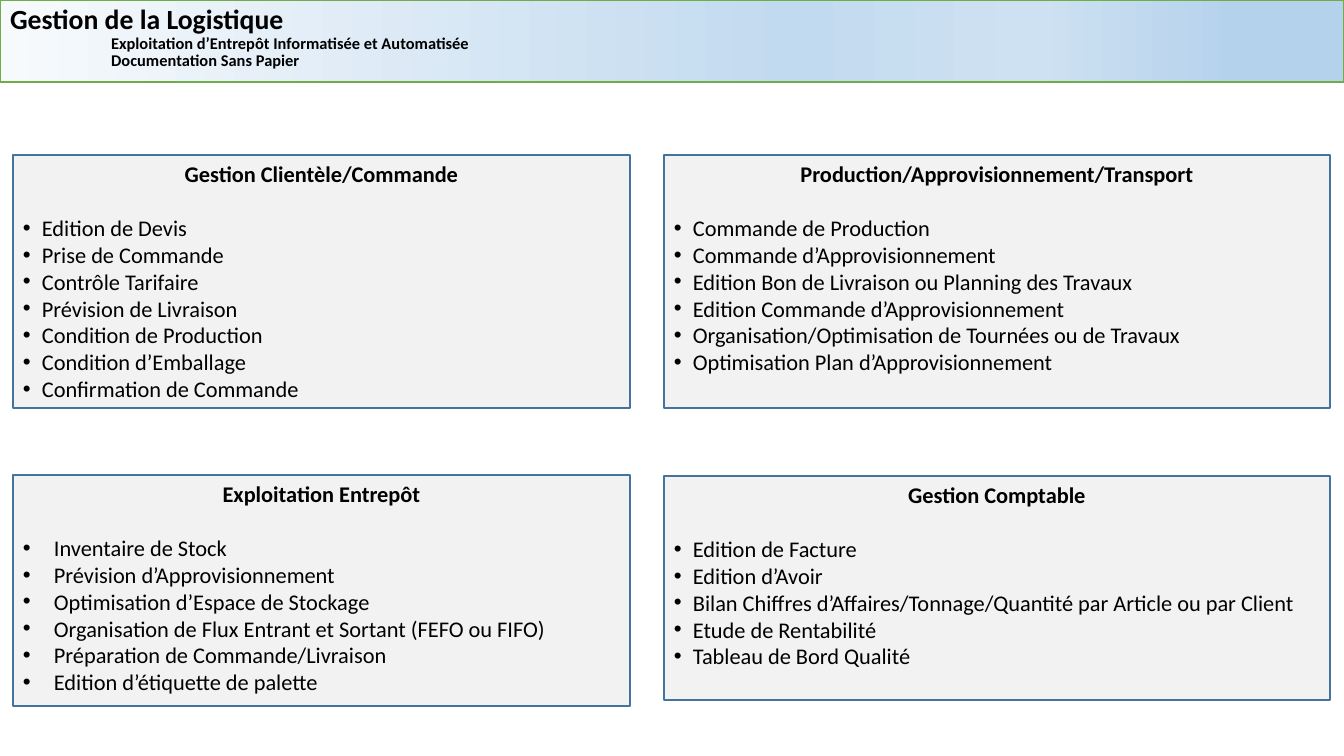
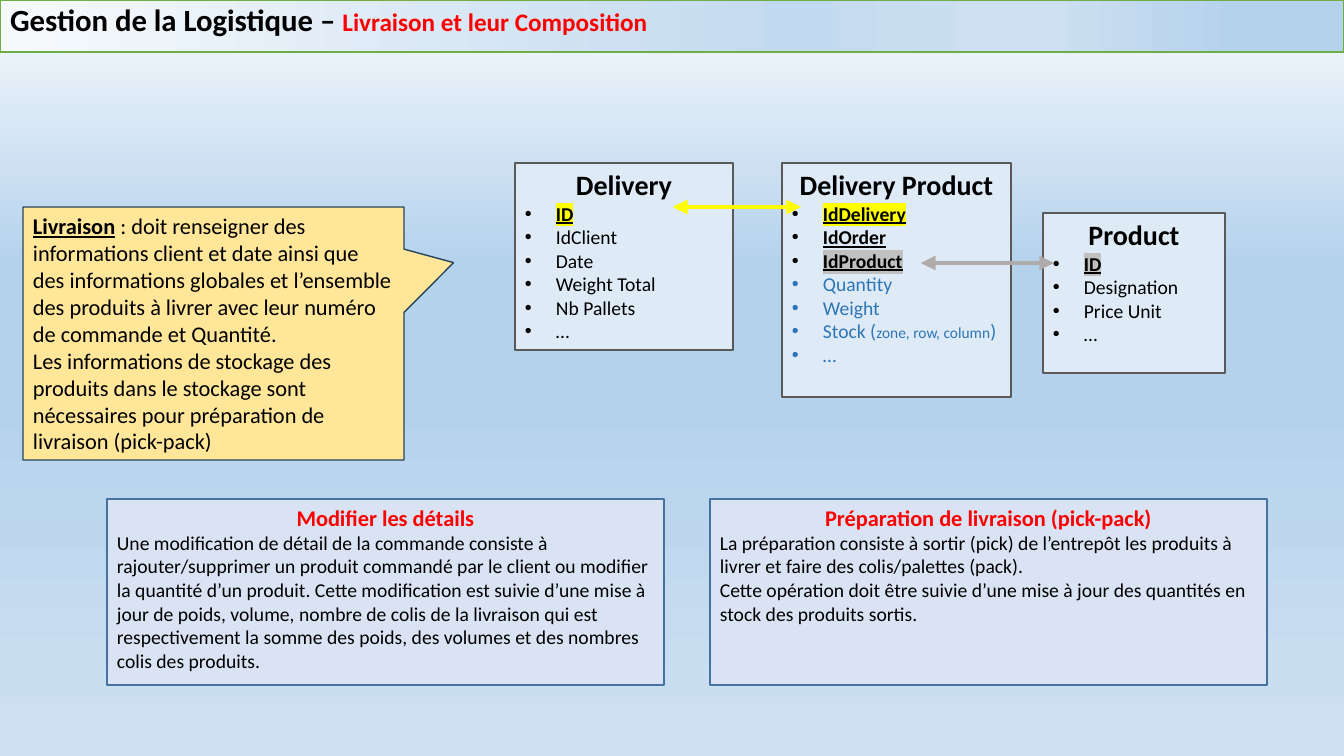
import pptx
import pptx.dml.color
import pptx.enum.dml
import pptx.enum.shapes
import pptx.enum.text
import pptx.oxml
import pptx.oxml.ns
import pptx.util
from dataclasses import dataclass, field
from lxml import etree

SLIDE_WIDTH, SLIDE_HEIGHT = 1344, 756
EMU_PER_PX = 914400 / 100.8
SHAPES = pptx.enum.shapes.MSO_SHAPE
ALIGN = pptx.enum.text.PP_ALIGN
ANCHOR = pptx.enum.text.MSO_ANCHOR
qn = pptx.oxml.ns.qn


@dataclass(frozen=True)
class Style:
    size: float
    bold: bool = False
    color: str = "000000"
    underline: bool = False
    highlight: str = ""


@dataclass(frozen=True)
class Theme:
    font: str = "Calibri"
    band_line: str = "70AD47"
    band_stops: tuple = ((0, "F7FAFD"), (59, "C2DAEF"), (77, "CEE1F2"), (92, "B5D2EC"))
    page_stops: tuple = ((0, "F7FAFD"), (35, "B5D2EC"), (53, "B5D2EC"), (100, "CEE1F2"))
    # Each box look: fill, line colour, line width in points
    module: tuple = ("F2F2F2", "43739E", 1)
    entity: tuple = ("DEEBF7", "595959", 1.75)
    callout: tuple = ("FFE699", "28445D", 1)
    detail: tuple = ("DAE3F3", "43739E", 1)
    arrow_width: float = 3.5
    module_heading_gap: float = 19.5
    styles: dict = field(default_factory=lambda: {
        "title": Style(19.8, True),
        "subtitle": Style(11.7, True),
        "large title": Style(22, True),
        "title topic": Style(18, True, "FF0000"),
        "heading": Style(16, True),
        "body": Style(16),
        "term": Style(16, True, underline=True),
        "entity": Style(20, True),
        "field": Style(14),
        "key": Style(14, True, underline=True),
        "delivery key": Style(14, True, underline=True, highlight="FFFF00"),
        "product key": Style(14, True, underline=True, highlight="C0C0C0"),
        "computed": Style(14, color="2E75B6"),
        "computed note": Style(11, color="2E75B6"),
        "detail heading": Style(16, True, "FF0000"),
    })


THEME = Theme()

# Boxes are (left, top, width, height) in px
MODULES = [
    ("Exploitation Entrepôt", (13, 475, 617, 231), 31, [
        "Inventaire de Stock",
        "Prévision d’Approvisionnement",
        "Optimisation d’Espace de Stockage",
        "Organisation de Flux Entrant et Sortant (FEFO ou FIFO)",
        "Préparation de Commande/Livraison",
        "Edition d’étiquette de palette"]),
    ("Gestion Clientèle/Commande", (13, 155, 617, 253), 19, [
        "Edition de Devis",
        "Prise de Commande",
        "Contrôle Tarifaire",
        "Prévision de Livraison",
        "Condition de Production",
        "Condition d’Emballage",
        "Confirmation de Commande"]),
    ("Production/Approvisionnement/Transport", (664, 155, 666, 253), 19, [
        "Commande de Production",
        "Commande d’Approvisionnement",
        "Edition Bon de Livraison ou Planning des Travaux",
        "Edition Commande d’Approvisionnement",
        "Organisation/Optimisation de Tournées ou de Travaux",
        "Optimisation Plan d’Approvisionnement"]),
    ("Gestion Comptable", (664, 476, 666, 224), 19, [
        "Edition de Facture",
        "Edition d’Avoir",
        "Bilan Chiffres d’Affaires/Tonnage/Quantité par Article ou par Client",
        "Etude de Rentabilité",
        "Tableau de Bord Qualité"]),
]

ENTITY_INDENT = 31
ENTITIES = [
    ("Delivery Product", (782, 163, 229, 234), [
        [("IdDelivery", "delivery key")],
        [("IdOrder", "key")],
        [("IdProduct", "product key")],
        [("Quantity", "computed")],
        [("Weight", "computed")],
        [("Stock (", "computed"), ("zone, row, column", "computed note"), (")", "computed")],
        [("…", "computed")]]),
    ("Delivery", (515, 163, 218, 187), [
        [("ID", "delivery key")],
        [("IdClient", "field")],
        [("Date", "field")],
        [("Weight Total", "field")],
        [("Nb Pallets", "field")],
        [("…", "field")]]),
    ("Product", (1043, 213, 182, 160), [
        [("ID", "product key")],
        [("Designation", "field")],
        [("Price Unit", "field")],
        [("…", "field")]]),
]

# Relations: start x, end x, y, colour
RELATIONS = [(673, 801, 207, "FFFF00"), (921, 1054, 263, "AFABAB")]

CALLOUT_BOX = (23, 207, 381, 253)
CALLOUT_TIP = (0.63, -0.28)
CALLOUT = [
    [("Livraison", "term"),
     (" : doit renseigner des informations client et date ainsi que des informations "
      "globales et l’ensemble des produits à livrer avec leur numéro de commande et "
      "Quantité.", "body")],
    [("Les informations de stockage des produits dans le stockage sont nécessaires pour "
      "préparation de livraison (pick-pack)", "body")],
]

DETAIL_BOX = (107, 499, 557, 186)
DETAIL_GAP = 46
DETAILS = [
    ("Modifier les détails", [
        "Une modification de détail de la commande consiste à rajouter/supprimer un produit "
        "commandé par le client ou modifier la quantité d’un produit. Cette modification est "
        "suivie d’une mise à jour de poids, volume, nombre de colis de la livraison qui est "
        "respectivement la somme des poids, des volumes et des nombres colis des produits."]),
    ("Préparation de livraison (pick-pack)", [
        "La préparation consiste à sortir (pick) de l’entrepôt les produits à livrer et faire "
        "des colis/palettes (pack).",
        "Cette opération doit être suivie d’une mise à jour des quantités en stock des "
        "produits sortis."]),
]


def px(length):
    return pptx.util.Emu(round(length * EMU_PER_PX))


def rgb(color):
    return pptx.dml.color.RGBColor.from_string(color)


def set_gradient(owner, fill, stops, angle):
    """Fill a shape or page background; the angle runs counter-clockwise."""
    fill.gradient()
    fill.gradient_angle = angle
    stop_list = owner.element.find(".//" + qn("a:gsLst"))
    for stop in list(stop_list):
        stop_list.remove(stop)
    for percent, color in stops:
        stop = etree.SubElement(stop_list, qn("a:gs"), pos=str(percent * 1000))
        etree.SubElement(stop, qn("a:srgbClr"), val=color)


def set_line(shape, color, width):
    shape.line.color.rgb = rgb(color)
    shape.line.width = pptx.util.Pt(width)


def add_run(para, text, style_name):
    style = THEME.styles[style_name]
    span = para.add_run()
    span.text = text
    font = span.font
    font.name = THEME.font
    font.size = pptx.util.Pt(style.size)
    font.bold = style.bold
    font.underline = style.underline
    font.color.rgb = rgb(style.color)
    if style.highlight:
        mark = etree.Element(qn("a:highlight"))
        etree.SubElement(mark, qn("a:srgbClr"), val=style.highlight)
        font_props = para.runs[-1].font
        font_props.name = THEME.font
        span._r.rPr.find(qn("a:latin")).addprevious(mark)


def add_paragraph(frame, runs, align=ALIGN.LEFT, indent=0, bullet=False):
    """Fill the empty first paragraph, or append one."""
    para = frame.paragraphs[0]
    if para.runs:
        para = frame.add_paragraph()
    para.alignment = align
    if indent:
        props = para._p.get_or_add_pPr()
        props.set("marL", str(px(indent)))
        if bullet:
            props.set("indent", str(-px(indent)))
            etree.SubElement(props, qn("a:buFont"), typeface="Arial")
            etree.SubElement(props, qn("a:buChar"), char="•")
    for text, style_name in runs:
        add_run(para, text, style_name)
    return para


def add_box(page, bounds, look, preset=SHAPES.RECTANGLE, anchor=ANCHOR.TOP):
    box = page.shapes.add_shape(preset, *map(px, bounds))
    fill, line, width = look
    box.shadow.inherit = False
    box.fill.solid()
    box.fill.fore_color.rgb = rgb(fill)
    set_line(box, line, width)
    box.text_frame.word_wrap = True
    box.text_frame.vertical_anchor = anchor
    return box


def add_page(deck, band_height, title_lines):
    """Add a page with its title band; title_lines holds (runs, indent) pairs."""
    page = deck.slides.add_slide(deck.slide_layouts[5])
    band = page.shapes.title
    band.left, band.top, band.width, band.height = map(px, (0, 0, SLIDE_WIDTH, band_height))
    set_gradient(band, band.fill, THEME.band_stops, 0)
    set_line(band, THEME.band_line, 1)
    frame = band.text_frame
    frame.word_wrap = True
    frame.auto_size = pptx.enum.text.MSO_AUTO_SIZE.NONE
    frame.vertical_anchor = ANCHOR.TOP
    for runs, indent in title_lines:
        add_paragraph(frame, runs, indent=indent).line_spacing = 0.9
    return page


def add_relation(page, start, end, y, color):
    arrow = page.shapes.add_connector(
        pptx.enum.shapes.MSO_CONNECTOR.STRAIGHT, px(start), px(y), px(end), px(y))
    set_line(arrow, color, THEME.arrow_width)
    line = arrow.line._get_or_add_ln()
    for tag in ("a:headEnd", "a:tailEnd"):
        etree.SubElement(line, qn(tag), type="triangle")
    etree.SubElement(arrow.element.spPr, qn("a:effectLst"))


def build_overview(deck):
    page = add_page(deck, 82, [
        ([("Gestion de la Logistique", "title")], 0),
        ([("Exploitation d’Entrepôt Informatisée et Automatisée", "subtitle")], 101),
        ([("Documentation Sans Papier", "subtitle")], 101)])
    for heading, bounds, indent, items in MODULES:
        frame = add_box(page, bounds, THEME.module).text_frame
        para = add_paragraph(frame, [(heading, "heading")], ALIGN.CENTER)
        para.space_after = pptx.util.Pt(THEME.module_heading_gap)
        for item in items:
            add_paragraph(frame, [(item, "body")], indent=indent, bullet=True)


def build_delivery(deck):
    page = add_page(deck, 52, [
        ([("Gestion de la Logistique – ", "large title"),
          ("Livraison et leur Composition", "title topic")], 0)])
    set_gradient(page, page.background.fill, THEME.page_stops, 270)
    for name, bounds, fields in ENTITIES:
        frame = add_box(page, bounds, THEME.entity).text_frame
        add_paragraph(frame, [(name, "entity")], ALIGN.CENTER)
        for runs in fields:
            add_paragraph(frame, runs, indent=ENTITY_INDENT, bullet=True)
    for relation in RELATIONS:
        add_relation(page, *relation)

    callout = add_box(page, CALLOUT_BOX, THEME.callout,
                      SHAPES.RECTANGULAR_CALLOUT, ANCHOR.MIDDLE)
    callout.adjustments[0], callout.adjustments[1] = CALLOUT_TIP
    for runs in CALLOUT:
        add_paragraph(callout.text_frame, runs)

    left, top, width, height = DETAIL_BOX
    for index, (heading, texts) in enumerate(DETAILS):
        bounds = (left + index * (width + DETAIL_GAP), top, width, height)
        frame = add_box(page, bounds, THEME.detail).text_frame
        add_paragraph(frame, [(heading, "detail heading")], ALIGN.CENTER)
        for text in texts:
            add_paragraph(frame, [(text, "field")])


def main():
    deck = pptx.Presentation()
    deck.slide_width, deck.slide_height = px(SLIDE_WIDTH), px(SLIDE_HEIGHT)
    build_overview(deck)
    build_delivery(deck)
    deck.save("out.pptx")


if __name__ == "__main__":
    main()
